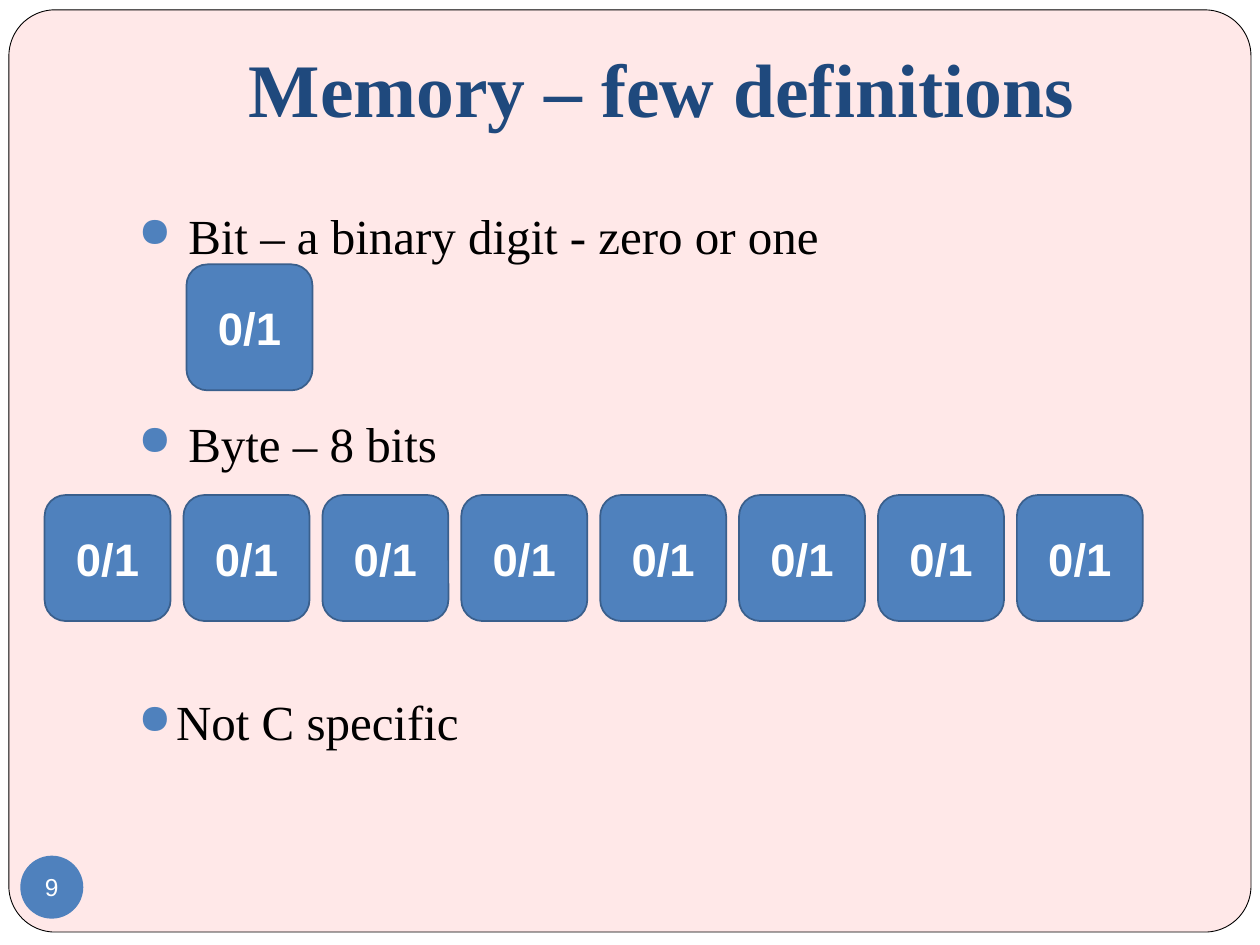
from lxml import etree
from pptx import Presentation
from pptx import util as u
from pptx.dml.color import RGBColor
from pptx.enum import shapes, text
from pptx.oxml.ns import qn

PINK = RGBColor(0xFF, 0xE8, 0xE8)
BLUE = RGBColor(0x4F, 0x81, 0xBD)
EDGE_BLUE = RGBColor(0x3A, 0x5F, 0x8C)
TITLE_BLUE = RGBColor(0x1F, 0x49, 0x7D)
BLACK = RGBColor(0, 0, 0)
WHITE = RGBColor(0xFF, 0xFF, 0xFF)
SERIF = "Times New Roman"
BIT_SIZE = 2.54
BIT_PITCH = 2.8


def add_filled_shape(kind, left, top, width, height, fill, line=None, line_width=1):
    shape = slide.shapes.add_shape(kind, u.Cm(left), u.Cm(top), u.Cm(width), u.Cm(height))
    shape.shadow.inherit = False
    shape.fill.solid()
    shape.fill.fore_color.rgb = fill
    if line is None:
        shape.line.fill.background()
    else:
        shape.line.color.rgb = line
        shape.line.width = u.Pt(line_width)
    return shape


def write_label(shape, label, size, font, bold=False):
    """Centre a right-to-left label, whose digits use the complex-script font."""
    shape.text_frame.text = label
    shape.text_frame.vertical_anchor = text.MSO_ANCHOR.MIDDLE
    paragraph = shape.text_frame.paragraphs[0]
    paragraph.alignment = text.PP_ALIGN.CENTER
    paragraph._p.get_or_add_pPr().set("rtl", "1")
    run = paragraph.runs[0]
    run.font.size = u.Pt(size)
    run.font.name = font
    run.font.bold = bold
    run.font.color.rgb = WHITE
    etree.SubElement(run._r.get_or_add_rPr(), qn("a:cs"), typeface="Arial")


presentation = Presentation()
presentation.slide_width = u.Cm(25.4)
presentation.slide_height = u.Cm(19.05)
slide = presentation.slides.add_slide(presentation.slide_layouts[6])

# Rounded panel
panel = add_filled_shape(shapes.MSO_SHAPE.ROUNDED_RECTANGLE,
                         0.18, 0.2, 25.04, 18.59, PINK, BLACK, 0.5)
panel.adjustments[0] = 0.05

# Title
title = slide.shapes.add_textbox(u.Cm(2.54), u.Cm(0.97), u.Cm(21.59), u.Cm(1.96))
title.text_frame.word_wrap = True
title.text_frame.vertical_anchor = text.MSO_ANCHOR.BOTTOM
title.text_frame.margin_bottom = u.Cm(0.25)
title.text_frame.text = "Memory – few definitions"
paragraph = title.text_frame.paragraphs[0]
paragraph.alignment = text.PP_ALIGN.CENTER
paragraph.font.size = u.Pt(43.2)
paragraph.font.name = SERIF
paragraph.font.bold = True
paragraph.font.color.rgb = TITLE_BLUE

# Definitions, spaced to leave room for the bit boxes
definitions = [
    (" Bit – a binary digit - zero or one", 5.8),
    (" Byte – 8 bits", 85.5),
    ("Not C specific", 125.5),
]
body = slide.shapes.add_textbox(u.Cm(2.54), u.Cm(4.01), u.Cm(21.59), u.Cm(12.7))
body.text_frame.word_wrap = True
body.text_frame.text = "\n".join(definition for definition, _ in definitions)
for paragraph, (_, space_before) in zip(body.text_frame.paragraphs, definitions):
    paragraph.space_before = u.Pt(space_before)
    run = paragraph.runs[0]
    run.font.size = u.Pt(28)
    run.font.name = SERIF
    run.font.color.rgb = BLACK
    properties = paragraph._p.get_or_add_pPr()
    properties.set("marL", str(u.Cm(0.76)))
    properties.set("indent", str(-u.Cm(0.76)))
    bullet_color = etree.SubElement(properties, qn("a:buClr"))
    etree.SubElement(bullet_color, qn("a:srgbClr"), val=str(BLUE))
    etree.SubElement(properties, qn("a:buSzPct"), val="85000")
    etree.SubElement(properties, qn("a:buChar"), char="●")

# One bit, then the eight bits of a byte
bit_positions = [(3.76, 5.33)] + [(0.9 + i * BIT_PITCH, 9.98) for i in range(8)]
for left, top in bit_positions:
    bit = add_filled_shape(shapes.MSO_SHAPE.ROUNDED_RECTANGLE,
                           left, top, BIT_SIZE, BIT_SIZE, BLUE, EDGE_BLUE)
    write_label(bit, "0/1", 26, "TeX Gyre Pagella", bold=True)

# Page number
badge = add_filled_shape(shapes.MSO_SHAPE.OVAL, 0.41, 17.25, 1.27, 1.27, BLUE)
frame = badge.text_frame
frame.margin_left = frame.margin_right = frame.margin_top = frame.margin_bottom = 0
frame.word_wrap = False
write_label(badge, "9", 14, "Open Sans")

presentation.save("out.pptx")
